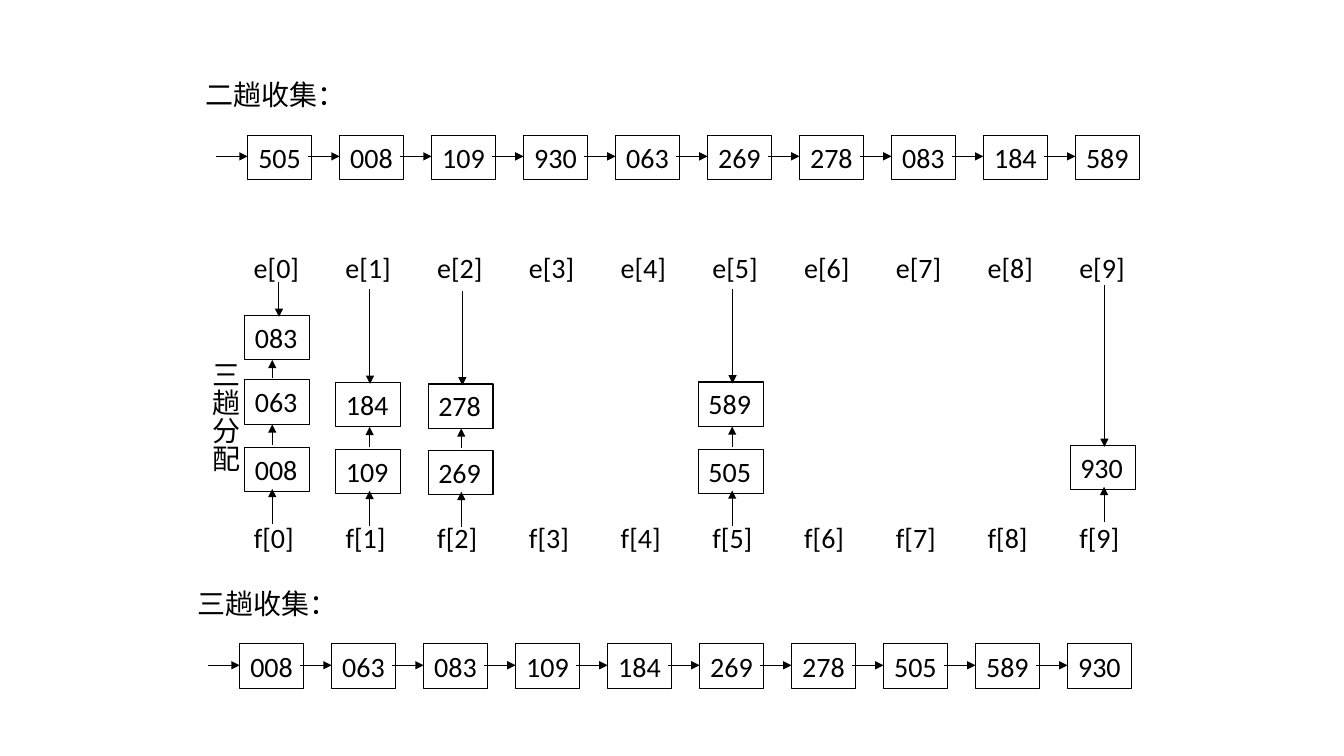
from lxml import etree
from pptx import Presentation
from pptx.dml.color import RGBColor
from pptx.enum.shapes import MSO_CONNECTOR as Connector, MSO_SHAPE as Shape
from pptx.enum.text import MSO_ANCHOR as Anchor, MSO_AUTO_SIZE as AutoSize, PP_ALIGN as Align
from pptx.oxml.ns import qn
from pptx.util import Pt

# Content: title, title place, first box place, keys in order
CHAINS = [
    ("二趟收集：", (139.7, 51.8), (176.9, 96.5),
     ["505", "008", "109", "930", "063", "269", "278", "083", "184", "589"]),
    ("三趟收集：", (133.9, 415.4), (171.2, 460),
     ["008", "063", "083", "109", "184", "269", "278", "505", "589", "930"]),
]
SIDE_TITLE = "三趟分配"
# Bucket: box left, offset of upward arrows, start of downward arrow,
# then (key, box top) from the front of the queue to its end
BUCKETS = [
    (175, 19.5, 201.6, [("008", 319.7), ("063", 271.4), ("083", 225.4)]),
    (240, 24, 206.6, [("109", 321.1), ("184", 273.2)]),
    (306, 23.5, 208.1, [("269", 321.8), ("278", 274.3)]),
    (499, 24, 206.6, [("505", 320.8), ("589", 272.9)]),
    (764.6, 24, 203.8, [("930", 318.2)]),
]
QUEUES = [("e", 175.7, 47.5), ("f", 367.9, 44.6)]  # name, top, label width
QUEUE_COUNT = 10

COLORS = {"ink": "000000"}
INK = RGBColor.from_string(COLORS["ink"])
FONT, SIZE, LINE = "Calibri", 20, 0.75
BOX_HEIGHT = 31.7
CHAIN_PITCH, CHAIN_WIDTH, CHAIN_ARROW = 65.7, 45.6, 22.3
LABEL_LEFT, LABEL_PITCH = 174.2, 65.52
BUCKET_WIDTH = 46.2

deck = Presentation()
deck.slide_width, deck.slide_height = Pt(960), Pt(540)
page = deck.slides.add_slide(deck.slide_layouts[6])


def write(shape, text, align=Align.LEFT, anchor=Anchor.TOP, wrap=False):
    frame = shape.text_frame
    frame.word_wrap = wrap
    frame.vertical_anchor = anchor
    para = frame.paragraphs[0]
    para.alignment = align
    span = para.add_run()
    span.text = text
    span.font.name, span.font.size = FONT, Pt(SIZE)
    span.font.color.rgb = INK


def add_label(text, left, top, width, height=31):
    label = page.shapes.add_textbox(Pt(left), Pt(top), Pt(width), Pt(height))
    write(label, text)
    label.text_frame.auto_size = AutoSize.SHAPE_TO_FIT_TEXT
    return label


def add_key(text, left, top, width, **layout):
    box = page.shapes.add_shape(Shape.RECTANGLE, Pt(left), Pt(top), Pt(width), Pt(BOX_HEIGHT))
    box.shadow.inherit = False
    box.fill.background()
    box.line.color.rgb, box.line.width = INK, Pt(LINE)
    write(box, text, **layout)


def add_arrow(x1, y1, x2, y2):
    arrow = page.shapes.add_connector(Connector.STRAIGHT, Pt(x1), Pt(y1), Pt(x2), Pt(y2))
    arrow.line.color.rgb, arrow.line.width = INK, Pt(LINE)
    etree.SubElement(arrow.line._get_or_add_ln(), qn("a:tailEnd"), type="triangle")
    etree.SubElement(arrow._element.spPr, qn("a:effectLst"))


# Collected chains
for title, title_place, (first_left, top), keys in CHAINS:
    add_label(title, *title_place, 120)
    for index, key in enumerate(keys):
        left = first_left + index * CHAIN_PITCH
        add_key(key, left, top, CHAIN_WIDTH, align=Align.CENTER, anchor=Anchor.MIDDLE)
        add_arrow(left - CHAIN_ARROW, top + 15.2, left, top + 15.2)

# Queue end and front labels
for name, top, width in QUEUES:
    for index in range(QUEUE_COUNT):
        add_label(f"{name}[{index}]", LABEL_LEFT + index * LABEL_PITCH, top, width)

# Vertical title
side_title = add_label(SIDE_TITLE, 137.5, 250.6, 38.9, 92.9)
side_title.text_frame._txBody.bodyPr.set("vert", "eaVert")

# Distributed keys, linked from front to end
for left, offset, down_start, keys in BUCKETS:
    front_top, end_top = keys[0][1], keys[-1][1]
    up_x, down_x = left + offset, left + 24.3
    for key, top in keys:
        add_key(key, left, top, BUCKET_WIDTH, wrap=True)
    add_arrow(up_x, front_top + 54.7, up_x, front_top + 29.5)
    for (_, lower_top), (_, upper_top) in zip(keys, keys[1:]):
        add_arrow(up_x, lower_top - 1.5, up_x, upper_top + BOX_HEIGHT)
    add_arrow(down_x, down_start, down_x, end_top + 1)

deck.save("out.pptx")
